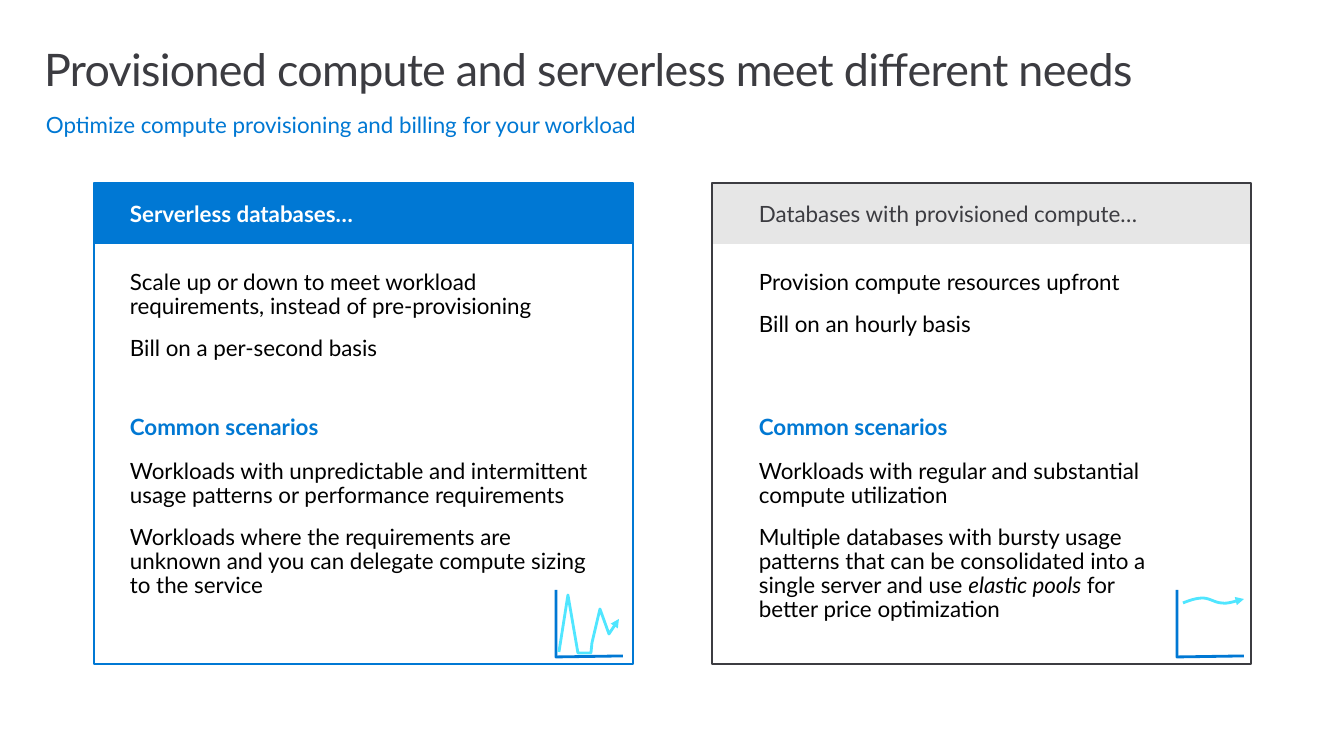
from lxml import etree
from pptx import Presentation, util as u
from pptx.dml.color import RGBColor
from pptx.enum import shapes, text
from pptx.oxml.ns import qn

FONT = "Lato"
BLUE, LINK, CYAN = "0078D4", "0078D3", "50E6FF"
DARK, GREY, WHITE, BLACK = "3C3C41", "E6E6E6", "FFFFFF", "000000"
TITLE = "Provisioned compute and serverless meet different needs"
SUBTITLE = "Optimize compute provisioning and billing for your workload"
SCENARIOS = "Common scenarios"

# A paragraph is a list of (words, italic) runs; "\n" is a line break.
PANELS = [
    dict(
        x=94, text_x=130, text_w=476, line=BLUE, fill=BLUE,
        head="Serverless databases…", head_font=dict(color=WHITE, bold=True),
        features=[
            [("Scale up or down to meet workload requirements, instead of pre-provisioning", False)],
            [("Bill on a per-second basis", False)],
        ],
        scenarios=[
            [("Workloads with unpredictable and intermittent usage patterns or performance requirements", False)],
            [("Workloads where the requirements are unknown and you can delegate compute sizing to the service", False)],
        ],
        graph_x=556,
        trace=[(3, 62), (12, 5), (22, 63), (35, 63), (36, 53), (44, 19), (53, 44), (63, 29)],
        curved=False,
    ),
    dict(
        x=712, text_x=759, text_w=457, line=DARK, fill=GREY,
        head="Databases with provisioned compute…", head_font=dict(color=DARK),
        features=[
            [("Provision compute resources upfront", False)],
            [("Bill on an hourly basis", False)],
        ],
        scenarios=[
            [("Workloads with regular and substantial compute utilization", False)],
            [("Multiple databases with bursty usage \npatterns that can be consolidated into a \n"
              "single server and use ", False),
             ("elastic pools ", True),
             ("for \nbetter price optimization", False)],
        ],
        graph_x=1177,
        trace=[(6, 13), (13, 10), (20, 8), (26, 8), (32, 8), (39, 13), (45, 13),
               (51, 14), (58, 11), (63, 10), (65, 10), (66, 10), (67, 9)],
        curved=True,
    ),
]
PANEL_Y, PANEL_W, PANEL_H, HEAD_H = 183, 539, 481, 61
HEAD_Y, FEATURES_Y, LABEL_Y, SCENARIOS_Y, GRAPH_Y = 200, 271, 416, 460, 590
AXES = [(0, 0), (0, 67), (67, 66)]


def px(n):
    return u.Emu(round(n * 12192000 / 1344))


def rgb(value):
    return RGBColor.from_string(value)


def set_attrs(obj, **values):
    for name, value in values.items():
        setattr(obj, name, value)


def write(tf, paragraphs, size=16, color=BLACK, bold=False, **spacing):
    set_attrs(tf, word_wrap=True, auto_size=text.MSO_AUTO_SIZE.NONE,
              vertical_anchor=text.MSO_ANCHOR.TOP,
              margin_left=0, margin_top=0, margin_right=0, margin_bottom=0)
    for i, runs in enumerate(paragraphs):
        p = tf.paragraphs[0] if i == 0 else tf.add_paragraph()
        set_attrs(p, alignment=text.PP_ALIGN.LEFT, **spacing)
        for words, italic in runs:
            for j, line in enumerate(words.split("\n")):
                if j:
                    p.add_line_break()
                r = p.add_run()
                r.text = line
                set_attrs(r.font, name=FONT, size=u.Pt(size), bold=bold, italic=italic)
                r.font.color.rgb = rgb(color)


def add_text(s, x, y, w, h, paragraphs, **style):
    write(s.shapes.add_textbox(px(x), px(y), px(w), px(h)).text_frame, paragraphs, **style)


def add_box(s, x, y, w, h, fill=None, line=None):
    sp = s.shapes.add_shape(shapes.MSO_SHAPE.RECTANGLE, px(x), px(y), px(w), px(h))
    paint(sp, fill, line, 1)


def paint(sp, fill, line, width):
    sp.shadow.inherit = False
    if fill:
        sp.fill.solid()
        sp.fill.fore_color.rgb = rgb(fill)
    else:
        sp.fill.background()
    if line:
        sp.line.color.rgb = rgb(line)
        sp.line.width = u.Pt(width)
    else:
        sp.line.fill.background()


def smooth(points, steps=8):
    """Sample the chain of cubic Bezier curves given by its control points."""
    out = [points[0]]
    for i in range(0, len(points) - 1, 3):
        a, b, c, d = points[i:i + 4]
        for k in range(1, steps + 1):
            t = k / steps
            v = 1 - t
            out.append(tuple(v**3 * a[n] + 3 * v * v * t * b[n] + 3 * v * t * t * c[n] + t**3 * d[n]
                             for n in (0, 1)))
    return out


def add_path(group, x, points, color, arrow=False):
    pts = [(px(x + a), px(GRAPH_Y + b)) for a, b in points]
    builder = group.shapes.build_freeform(*pts[0])
    builder.add_line_segments(pts[1:], close=False)
    sp = builder.convert_to_shape()
    paint(sp, None, color, 2)
    if arrow:
        etree.SubElement(sp.line._get_or_add_ln(), qn("a:tailEnd"), type="triangle")


def add_panel(s, panel):
    x, text_x, text_w = panel["x"], panel["text_x"], panel["text_w"]
    body = dict(line_spacing=0.9, space_after=u.Pt(12.7))
    add_box(s, x, PANEL_Y, PANEL_W, HEAD_H, fill=panel["fill"])
    add_box(s, x, PANEL_Y, PANEL_W, PANEL_H, line=panel["line"])
    add_text(s, text_x, HEAD_Y, text_w, 27, [[(panel["head"], False)]], **panel["head_font"])
    add_text(s, text_x, FEATURES_Y, text_w, 92, panel["features"], **body)
    add_text(s, text_x, LABEL_Y, text_w, 24, [[(SCENARIOS, False)]], color=LINK, bold=True, **body)
    add_text(s, text_x, SCENARIOS_Y, text_w, 165, panel["scenarios"], **body)
    graph = s.shapes.add_group_shape()
    trace = smooth(panel["trace"]) if panel["curved"] else panel["trace"]
    add_path(graph, panel["graph_x"], AXES, BLUE)
    add_path(graph, panel["graph_x"], trace, CYAN, arrow=True)


def main():
    prs = Presentation()
    set_attrs(prs, slide_width=px(1344), slide_height=px(756))
    s = prs.slides.add_slide(prs.slide_layouts[5])
    title = s.shapes.title
    set_attrs(title, left=px(44), top=px(30), width=px(1250), height=px(58))
    write(title.text_frame, [[(TITLE, False)]], size=32, color=DARK, line_spacing=0.9)
    title.text_frame.margin_top = px(18)
    title.text_frame.paragraphs[0].runs[0].font._element.set("spc", "-50")
    add_text(s, 46, 111, 734, 27, [[(SUBTITLE, False)]], color=LINK)
    for panel in PANELS:
        add_panel(s, panel)
    prs.save("out.pptx")


if __name__ == "__main__":
    main()
